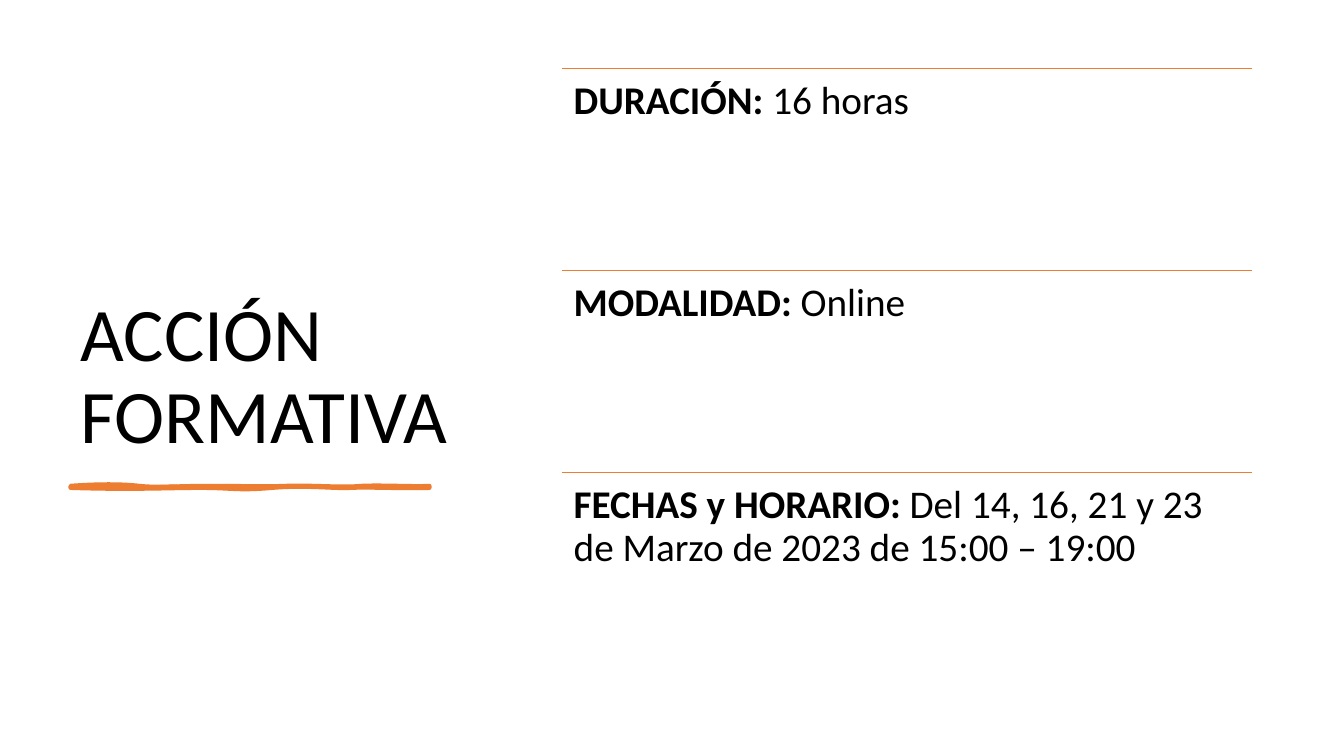
"""Build the training action slide with its title, brush stroke and three facts."""
from dataclasses import dataclass

from pptx import Presentation
from pptx.dml.color import RGBColor
from pptx.enum.shapes import MSO_CONNECTOR as Conn
from pptx.enum.text import MSO_ANCHOR as Anchor, MSO_AUTO_SIZE as Fit, PP_ALIGN as Align
from pptx.oxml.ns import qn
from pptx.util import Inches, Pt
from lxml.etree import SubElement

Point = tuple[float, float]
ORANGE, BLACK = "ED7D31", "000000"
LEFT, WIDTH, HEIGHT = 5.57, 6.85, 2
FIRST, LAST = 0.68, 4.69


@dataclass
class Fact:
    label: str
    value: str


@dataclass
class Stroke:
    off: str
    knots: list[Point]


FACTS = [
    Fact("DURACIÓN: ", "16 horas"),
    Fact("MODALIDAD: ", "Online"),
    Fact("FECHAS y HORARIO: ", "Del 14, 16, 21 y 23 de Marzo de 2023 de 15:00 – 19:00"),
]

EDGE = Stroke("fill", [
    (0.7, 4.82), (0.97, 4.8), (1.21, 4.8), (1.38, 4.82),
    (1.55, 4.84), (1.77, 4.82), (2.09, 4.82), (2.41, 4.82), (2.6, 4.83), (2.84, 4.82),
    (3.08, 4.81), (3.39, 4.84), (3.59, 4.82), (3.79, 4.81), (4.12, 4.83), (4.26, 4.82),
    (4.26, 4.83), (4.26, 4.84), (4.26, 4.84), (4.08, 4.85), (3.64, 4.83), (3.48, 4.84),
    (3.32, 4.85), (3.04, 4.81), (2.7, 4.84), (2.35, 4.87), (2.31, 4.84), (1.99, 4.84),
    (1.66, 4.84), (1.32, 4.86), (0.7, 4.84), (0.7, 4.84), (0.7, 4.83), (0.7, 4.82),
])
CORE = Stroke("stroke", [
    (0.7, 4.82), (1.02, 4.84), (1.1, 4.83), (1.38, 4.82),
    (1.66, 4.81), (1.69, 4.8), (1.99, 4.82), (2.28, 4.84), (2.61, 4.83), (2.77, 4.82),
    (2.93, 4.81), (3.27, 4.85), (3.44, 4.82), (3.62, 4.8), (3.97, 4.86), (4.26, 4.82),
    (4.26, 4.83), (4.26, 4.83), (4.26, 4.84), (4.12, 4.84), (3.72, 4.87), (3.55, 4.84),
    (3.38, 4.82), (3.09, 4.84), (2.77, 4.84), (2.44, 4.84), (2.4, 4.83), (2.16, 4.84),
    (1.93, 4.85), (1.79, 4.83), (1.45, 4.84), (1.11, 4.85), (0.92, 4.84), (0.7, 4.84),
    (0.7, 4.83), (0.7, 4.83), (0.7, 4.82),
])


def tint(code: str) -> RGBColor:
    return RGBColor.from_string(code)


def write(par, text: str, size: float = 28, bold: bool = False, color: str = BLACK) -> None:
    par.alignment = Align.LEFT
    par.line_spacing = 0.9
    run = par.add_run()
    run.text = text
    font = run.font
    font.name, font.size, font.bold = "Calibri", Pt(size), bold
    font.color.rgb = tint(color)


def place(shape, left: float, top: float, width: float, height: float) -> None:
    shape.left, shape.top = Inches(left), Inches(top)
    shape.width, shape.height = Inches(width), Inches(height)


def curve(outlines, stroke: Stroke, left: float, top: float, width: float, height: float) -> None:
    size = {"w": str(Inches(width)), "h": str(Inches(height))}
    off = "none" if stroke.off == "fill" else "0"
    track = SubElement(outlines, qn("a:path"), {**size, stroke.off: off})

    def step(tag: str, knots: list[Point]) -> None:
        part = SubElement(track, qn(tag))
        for x, y in knots:
            SubElement(part, qn("a:pt"), x=str(Inches(x - left)), y=str(Inches(y - top)))

    knots = stroke.knots
    step("a:moveTo", knots[:1])
    for i in range(1, len(knots), 3):
        step("a:cubicBezTo", knots[i:i + 3])
    SubElement(track, qn("a:close"))


def brush(slide, left: float, top: float, width: float, height: float) -> None:
    pen = slide.shapes.build_freeform(Inches(left), Inches(top), scale=1.0)
    pen.add_line_segments([(Inches(left + width), Inches(top + height))])
    shape = pen.convert_to_shape()
    outlines = shape._element.spPr.find(".//" + qn("a:pathLst"))
    outlines.clear()
    for stroke in (EDGE, CORE):
        curve(outlines, stroke, left, top, width, height)
    shape.shadow.inherit = False
    shape.fill.solid()
    shape.fill.fore_color.rgb = tint(ORANGE)
    shape.line.color.rgb = tint(ORANGE)
    shape.line.width = Pt(3)


def rule(slide, top: float) -> None:
    line = slide.shapes.add_connector(
        Conn.STRAIGHT, Inches(LEFT), Inches(top), Inches(LEFT + WIDTH), Inches(top))
    line.line.color.rgb = tint(ORANGE)
    line.line.width = Pt(1)
    SubElement(line._element.spPr, qn("a:effectLst"))


def entry(slide, fact: Fact, top: float) -> None:
    rule(slide, top)
    box = slide.shapes.add_textbox(0, 0, 0, 0)
    place(box, LEFT, top, WIDTH, HEIGHT)
    frame = box.text_frame
    frame.word_wrap = True
    frame.margin_left = frame.margin_right = Inches(0.12)
    frame.margin_top = frame.margin_bottom = Inches(0.12)
    par = frame.paragraphs[0]
    write(par, fact.label, bold=True)
    write(par, fact.value)


def main() -> None:
    deck = Presentation()
    deck.slide_width, deck.slide_height = Inches(13.33), Inches(7.5)
    slide = deck.slides.add_slide(deck.slide_layouts[5])
    title = slide.shapes.title
    place(title, 0.7, 0.7, 3.91, 3.91)
    frame = title.text_frame
    frame.word_wrap, frame.auto_size = True, Fit.NONE
    frame.vertical_anchor = Anchor.BOTTOM
    write(frame.paragraphs[0], "ACCIÓN FORMATIVA", size=54)
    brush(slide, 0.7, 4.82, 3.56, 0.02)
    gap = (LAST - FIRST) / (len(FACTS) - 1)
    for i, fact in enumerate(FACTS):
        entry(slide, fact, FIRST + i * gap)
    deck.save("out.pptx")


if __name__ == "__main__":
    main()
